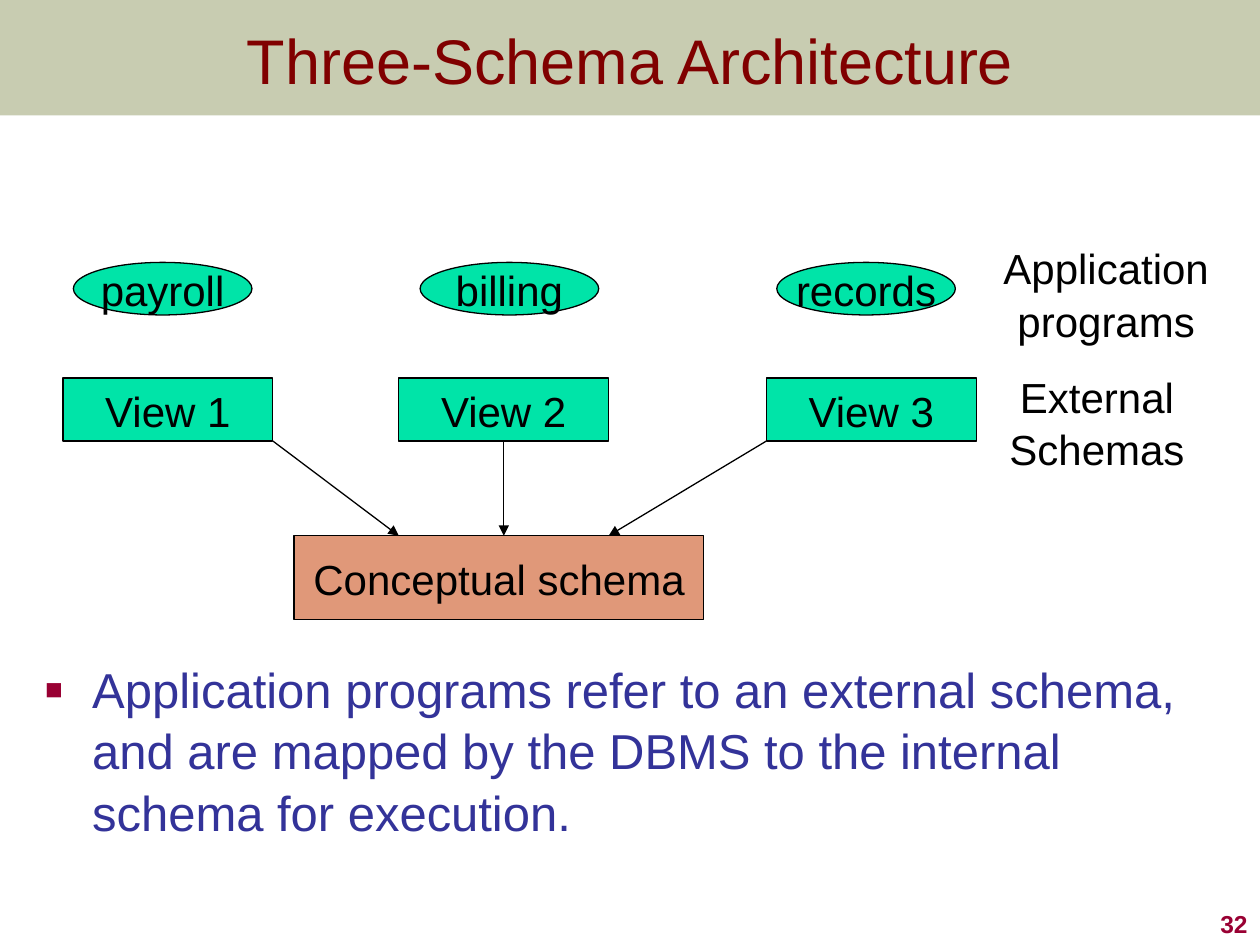
from lxml.etree import SubElement
from pptx import Presentation
from pptx.dml.color import RGBColor
from pptx.enum.shapes import MSO_CONNECTOR, MSO_SHAPE
from pptx.enum.text import MSO_ANCHOR, PP_ALIGN
from pptx.oxml.ns import qn
from pptx.util import Cm, Pt

COLORS = {
    "band": "677228",
    "title": "800000",
    "accent": "990033",
    "body": "333399",
    "black": "000000",
    "view": "00E4A8",
    "concept": "E09879",
}
FONT = "Arial"
LINE_SPACING = 1.04
PROGRAMS = [("payroll", 1.48), ("billing", 8.47), ("records", 15.66)]
VIEWS = [("View 1", 1.27), ("View 2", 8.04), ("View 3", 15.45)]
VIEW_TOP, VIEW_W, VIEW_H = 7.62, 4.23, 1.27
CONCEPT_TOP = 10.8


def rgb(name):
    return RGBColor.from_string(COLORS[name])


def write(p, text, size=24, color="black", align=PP_ALIGN.CENTER, bold=False):
    """Fill a paragraph, with a line break at each newline."""
    p.alignment = align
    p.line_spacing = LINE_SPACING
    for i, line in enumerate(text.split("\n")):
        if i:
            p.add_line_break()
        r = p.add_run()
        r.text = line
        r.font.name = FONT
        r.font.size = Pt(size)
        r.font.bold = bold
        r.font.color.rgb = rgb(color)


def add_text(s, box, anchor=MSO_ANCHOR.TOP, wrap=True):
    tf = s.shapes.add_textbox(*map(Cm, box)).text_frame
    tf.word_wrap = wrap
    tf.vertical_anchor = anchor
    return tf


def add_node(s, kind, box, text, fill):
    sp = s.shapes.add_shape(kind, *map(Cm, box))
    sp.shadow.inherit = False
    sp.fill.solid()
    sp.fill.fore_color.rgb = rgb(fill)
    sp.line.color.rgb = rgb("black")
    sp.line.width = Pt(0.75)
    tf = sp.text_frame
    tf.word_wrap = False
    tf.vertical_anchor = MSO_ANCHOR.MIDDLE
    write(tf.paragraphs[0], text)


def add_arrow(s, *ends):
    c = s.shapes.add_connector(MSO_CONNECTOR.STRAIGHT, *map(Cm, ends))
    c.line.color.rgb = rgb("black")
    c.line.width = Pt(0.75)
    SubElement(c.line._get_or_add_ln(), qn("a:tailEnd"), type="triangle")
    SubElement(c._element.spPr, qn("a:effectLst"))


def add_title(s, text):
    """Place the title over a translucent band."""
    box = [Cm(v) for v in (0, 0, 25.4, 2.33)]
    band = s.shapes.add_shape(MSO_SHAPE.RECTANGLE, *box)
    band.shadow.inherit = False
    band.fill.solid()
    band.fill.fore_color.rgb = rgb("band")
    band.line.fill.background()
    color = band._element.spPr.find(qn("a:solidFill"))[0]
    SubElement(color, qn("a:alpha"), val="36000")
    title = s.shapes.title
    title._element.addprevious(band._element)
    title.left, title.top, title.width, title.height = box
    title.text_frame.vertical_anchor = MSO_ANCHOR.MIDDLE
    write(title.text_frame.paragraphs[0], text, 36, "title")


def add_bullet(s, box, text):
    tf = add_text(s, box)
    tf.margin_right = 0
    p = tf.paragraphs[0]
    pPr = p._p.get_or_add_pPr()
    indent = Cm(0.95)
    pPr.set("marL", str(indent))
    pPr.set("indent", str(-indent))
    bullet_color = SubElement(pPr, qn("a:buClr"))
    SubElement(bullet_color, qn("a:srgbClr"), val=COLORS["accent"])
    SubElement(pPr, qn("a:buSzPct"), val="60000")
    SubElement(pPr, qn("a:buFont"), typeface=FONT)
    SubElement(pPr, qn("a:buChar"), char="■")
    write(p, text, 28, "body", PP_ALIGN.LEFT)


def main():
    prs = Presentation()
    prs.slide_width, prs.slide_height = Cm(25.4), Cm(19.05)
    s = prs.slides.add_slide(prs.slide_layouts[5])
    add_title(s, "Three-Schema Architecture")

    for name, left in PROGRAMS:
        add_node(s, MSO_SHAPE.OVAL, (left, 5.29, 3.6, 1.06), name, "view")
    for name, left in VIEWS:
        add_node(s, MSO_SHAPE.RECTANGLE, (left, VIEW_TOP, VIEW_W, VIEW_H), name, "view")
    add_node(s, MSO_SHAPE.RECTANGLE, (5.93, CONCEPT_TOP, 8.26, 1.69),
             "Conceptual schema", "concept")

    lefts = [left for _, left in VIEWS]
    middle = lefts[1] + VIEW_W / 2
    arrows = [(lefts[0] + VIEW_W, lefts[1]), (middle, middle),
              (lefts[2], lefts[1] + VIEW_W)]
    for start, end in arrows:
        add_arrow(s, start, VIEW_TOP + VIEW_H, end, CONCEPT_TOP)

    tf = add_text(s, (19.9, 4.73, 4.8, 2.31))
    write(tf.paragraphs[0], "Application\nprograms")
    tf = add_text(s, (20.07, 7.32, 4.09, 2.31), wrap=False)
    write(tf.paragraphs[0], "External")
    write(tf.add_paragraph(), "Schemas")

    add_bullet(s, (0.66, 13.13, 24.08, 5.92),
               "Application programs refer to an external schema, and are mapped "
               "by the DBMS to the internal schema for execution.")
    tf = add_text(s, (20.12, 17.78, 5.28, 1.27), MSO_ANCHOR.BOTTOM)
    write(tf.paragraphs[0], "32", 14, "accent", PP_ALIGN.RIGHT, bold=True)
    prs.save("out.pptx")


if __name__ == "__main__":
    main()
